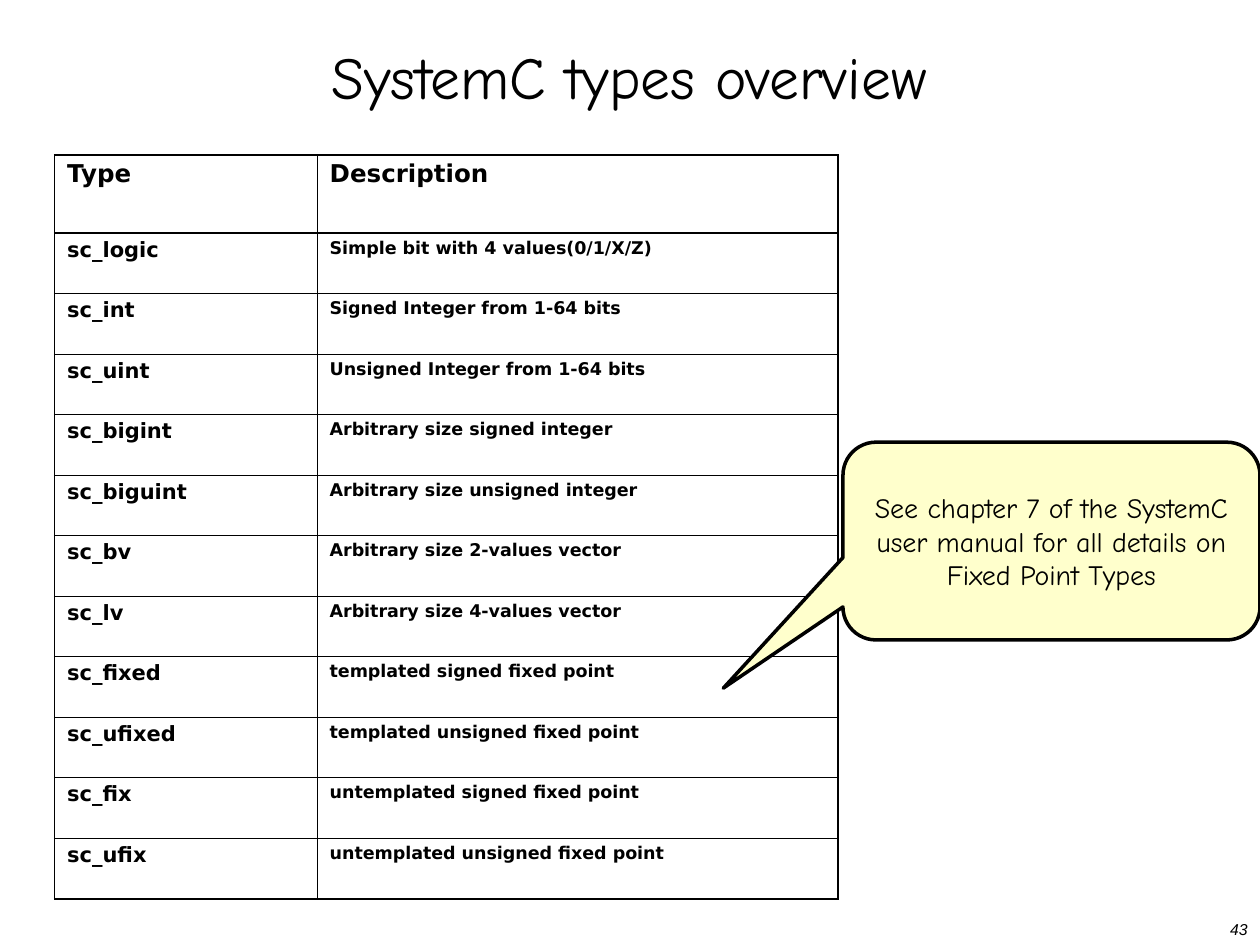
import pptx
import pptx.dml.color
import pptx.enum.shapes
import pptx.enum.text
import pptx.oxml
import pptx.oxml.ns
import pptx.util

Pt = pptx.util.Pt
RGBColor = pptx.dml.color.RGBColor
PP_ALIGN = pptx.enum.text.PP_ALIGN
MSO_ANCHOR = pptx.enum.text.MSO_ANCHOR

BLACK = RGBColor(0x00, 0x00, 0x00)
PALE_YELLOW = RGBColor(0xFF, 0xFF, 0xCC)

TITLE_FONT = "Comic Neue"
TABLE_FONT = "DejaVu Sans"
NUMBER_FONT = "Arial"

OUTER_LINE, INNER_LINE = 1.08, 0.45
COLUMN_WIDTHS = (150, 297.7)
HEADER_HEIGHT = 44.6

TYPES = [
    ("Type", "Description"),
    ("sc_logic", "Simple bit with 4 values(0/1/X/Z)"),
    ("sc_int", "Signed Integer from 1-64 bits"),
    ("sc_uint", "Unsigned Integer from 1-64 bits"),
    ("sc_bigint", "Arbitrary size signed integer"),
    ("sc_biguint", "Arbitrary size unsigned integer"),
    ("sc_bv", "Arbitrary size 2-values vector"),
    ("sc_lv", "Arbitrary size 4-values vector"),
    ("sc_fixed", "templated signed fixed point"),
    ("sc_ufixed", "templated unsigned fixed point"),
    ("sc_fix", "untemplated signed fixed point"),
    ("sc_ufix", "untemplated unsigned fixed point"),
]


def write(tf, text, font, size, align=PP_ALIGN.LEFT, spacing=1.0, bold=False, italic=False):
    """Fill a text frame with one paragraph in one format."""
    tf.word_wrap = True
    p = tf.paragraphs[0]
    p.text = text
    p.alignment = align
    p.line_spacing = spacing
    p.font.name = font
    p.font.size = Pt(size)
    p.font.bold = bold
    p.font.italic = italic
    p.font.color.rgb = BLACK


def add_title(slide, left, top, width, height):
    s = slide.shapes.title
    s.left, s.top, s.width, s.height = Pt(left), Pt(top), Pt(width), Pt(height)
    tf = s.text_frame
    tf.auto_size = pptx.enum.text.MSO_AUTO_SIZE.NONE
    tf.vertical_anchor = MSO_ANCHOR.MIDDLE
    write(tf, "SystemC types overview", TITLE_FONT, 34, PP_ALIGN.CENTER, 0.8)


def set_borders(cell, widths):
    """Draw the cell's left, right, top and bottom lines, widths in points."""
    tc_pr = cell._tc.get_or_add_tcPr()
    for i, (side, width) in enumerate(zip("LRTB", widths)):
        line = pptx.oxml.parse_xml(
            f'<a:ln{side} {pptx.oxml.ns.nsdecls("a")} w="{int(Pt(width))}">'
            f'<a:solidFill><a:srgbClr val="{BLACK}"/></a:solidFill></a:ln{side}>'
        )
        tc_pr.insert(i, line)


def add_types_table(slide, left, top, width, height):
    n_rows, n_cols = len(TYPES), len(COLUMN_WIDTHS)
    table = slide.shapes.add_table(
        n_rows, n_cols, Pt(left), Pt(top), Pt(width), Pt(height)
    ).table
    for column, column_width in zip(table.columns, COLUMN_WIDTHS):
        column.width = Pt(column_width)
    row_height = (height - HEADER_HEIGHT) / (n_rows - 1)

    for r, texts in enumerate(TYPES):
        table.rows[r].height = Pt(row_height if r else HEADER_HEIGHT)
        for c, text in enumerate(texts):
            cell = table.cell(r, c)
            cell.fill.background()
            size = (12, 10)[c] if r else 14
            write(cell.text_frame, text, TABLE_FONT, size, spacing=0.9, bold=True)
            heavy = (c == 0, c == n_cols - 1, r <= 1, r in (0, n_rows - 1))
            set_borders(cell, [OUTER_LINE if h else INNER_LINE for h in heavy])


def add_callout(slide, left, top, width, height):
    s = slide.shapes.add_shape(
        pptx.enum.shapes.MSO_SHAPE.ROUNDED_RECTANGULAR_CALLOUT,
        Pt(left), Pt(top), Pt(width), Pt(height),
    )
    for i, value in enumerate((-0.787, 0.744, 0.167)):
        s.adjustments[i] = value
    s.shadow.inherit = False
    s.fill.solid()
    s.fill.fore_color.rgb = PALE_YELLOW
    s.line.color.rgb = BLACK
    s.line.width = Pt(2)
    tf = s.text_frame
    tf.vertical_anchor = MSO_ANCHOR.MIDDLE
    write(
        tf,
        "See chapter 7 of the SystemC user manual for all details on Fixed Point Types",
        TITLE_FONT, 16, PP_ALIGN.CENTER,
    )


def add_page_number(slide, left, top, width, height):
    s = slide.shapes.add_textbox(Pt(left), Pt(top), Pt(width), Pt(height))
    write(s.text_frame, "43", NUMBER_FONT, 9, PP_ALIGN.RIGHT, italic=True)


def main():
    prs = pptx.Presentation()
    prs.slide_width, prs.slide_height = Pt(720), Pt(540)
    slide = prs.slides.add_slide(prs.slide_layouts[5])
    add_title(slide, 23, 18, 673, 57.6)
    add_types_table(slide, 31.2, 88.6, sum(COLUMN_WIDTHS), 425.2)
    add_callout(slide, 481.7, 252.7, 238.3, 113)
    add_page_number(slide, 522, 522, 198, 18)
    prs.save("out.pptx")


if __name__ == "__main__":
    main()
